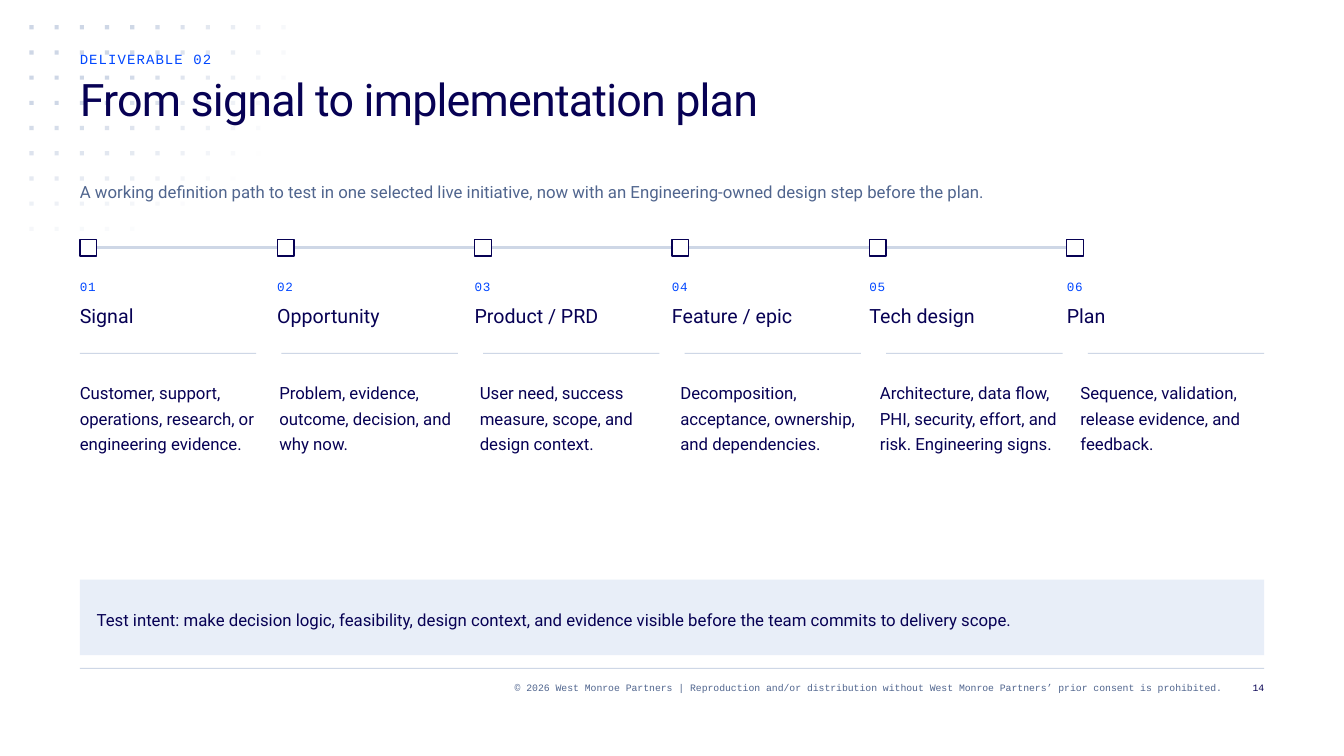
from dataclasses import dataclass
from math import hypot

from lxml.etree import SubElement
from pptx import Presentation
from pptx.dml.color import RGBColor
from pptx.enum.shapes import MSO_CONNECTOR, MSO_SHAPE
from pptx.enum.text import PP_ALIGN
from pptx.oxml.ns import qn
from pptx.util import Pt

PX = 9525  # EMU in one px


@dataclass(frozen=True)
class Font:
    face: str
    size: int
    lead: int
    color: str
    track: int = 0


class Theme:
    navy, blue, slate = "070154", "0047FF", "50658E"
    mist, pale, white = "CED7E6", "E8EEF8", "FFFFFF"
    sans, mono = "Roboto", "Courier New"
    title = Font(sans, 32, 36, navy, -60)
    tag = Font(mono, 10, 12, blue, 80)
    lead = Font(sans, 12, 18, slate)
    body = Font(sans, 12, 18, navy)
    count = Font(mono, 9, 12, blue, 50)
    step = Font(sans, 14, 21, navy)
    legal = Font(mono, 7, 9, slate)
    page = Font(mono, 7, 9, navy)


class Board:
    def __init__(self, slide, theme):
        self.slide = slide
        self.theme = theme

    def rect(self, x, y, w, h, fill, edge=None, alpha=100):
        shape = self.slide.shapes.add_shape(
            MSO_SHAPE.RECTANGLE, x * PX, y * PX, w * PX, h * PX)
        shape.shadow.inherit = False
        shape.fill.solid()
        shape.fill.fore_color.rgb = RGBColor.from_string(fill)
        if alpha < 100:
            color = shape.fill._xPr.find(".//" + qn("a:srgbClr"))
            SubElement(color, qn("a:alpha"), val=str(alpha * 1000))
        if edge:
            shape.line.color.rgb = RGBColor.from_string(edge)
            shape.line.width = Pt(1)
        else:
            shape.line.fill.background()

    def text(self, x, y, w, h, words, font, align=PP_ALIGN.LEFT):
        frame = self.slide.shapes.add_textbox(
            x * PX, y * PX, w * PX, h * PX).text_frame
        frame.margin_left = frame.margin_right = 0
        frame.margin_top = frame.margin_bottom = 0
        frame.word_wrap = True
        frame.text = words
        para = frame.paragraphs[0]
        para.alignment = align
        para.line_spacing = Pt(font.lead)
        run = para.runs[0]
        run.font.name = font.face
        run.font.size = Pt(font.size)
        run.font.color.rgb = RGBColor.from_string(font.color)
        if font.track:
            run.font._element.set("spc", str(font.track))

    def line(self, x1, y1, x2, y2, color, width):
        link = self.slide.shapes.add_connector(
            MSO_CONNECTOR.STRAIGHT, x1 * PX, y1 * PX, x2 * PX, y2 * PX)
        link.line.color.rgb = RGBColor.from_string(color)
        link.line.width = Pt(width)
        SubElement(link._element.spPr, qn("a:effectLst"))

    def dots(self, cols, rows):
        """Draw a dot grid that fades with distance from its top left."""
        for col in range(cols):
            for row in range(rows):
                alpha = min(100, int(153 - hypot(13.8 * col, 16.85 * row)))
                if alpha >= 2:
                    self.rect(28 + 24 * col, 24 + 24 * row, 4, 4,
                              self.theme.mist, alpha=alpha)


LEFT, WIDTH = 76, 1128
STEPS = [
    ("Signal", "Customer, support, operations, research, or engineering evidence."),
    ("Opportunity", "Problem, evidence, outcome, decision, and why now."),
    ("Product / PRD", "User need, success measure, scope, and design context."),
    ("Feature / epic", "Decomposition, acceptance, ownership, and dependencies."),
    ("Tech design", "Architecture, data flow, PHI, security, effort, and risk. "
                    "Engineering signs."),
    ("Plan", "Sequence, validation, release evidence, and feedback."),
]


def main():
    deck = Presentation()
    deck.slide_width, deck.slide_height = 1280 * PX, 720 * PX
    theme = Theme()
    board = Board(deck.slides.add_slide(deck.slide_layouts[6]), theme)

    board.dots(11, 9)
    board.text(LEFT, 48, 984, 24, "DELIVERABLE 02", theme.tag)
    board.text(LEFT, 72, 984, 96, "From signal to implementation plan", theme.title)
    board.text(LEFT, 168, WIDTH, 40,
               "A working definition path to test in one selected live initiative, "
               "now with an Engineering-owned design step before the plan.", theme.lead)

    pitch = WIDTH // len(STEPS)
    board.line(LEFT + 8, 236, LEFT + 8 + pitch * (len(STEPS) - 1), 236, theme.mist, 2)
    for i, (name, note) in enumerate(STEPS):
        x = LEFT + pitch * i
        board.rect(x, 228, 16, 16, theme.white, theme.navy)
        board.text(x, 264, 164, 16, f"{i + 1:02}", theme.count)
        board.text(x, 284, 164, 28, name, theme.step)
        board.rect(LEFT + 192 * i, 336, 168, 1, theme.mist)
        board.text(LEFT + 572 * i // 3, 360, 175, 168, note, theme.body)

    board.rect(LEFT, 552, WIDTH, 72, theme.pale)
    board.text(LEFT + 16, 576, WIDTH - 32, 24,
               "Test intent: make decision logic, feasibility, design context, and "
               "evidence visible before the team commits to delivery scope.", theme.body)

    board.rect(LEFT, 636, WIDTH, 1, theme.mist)
    board.text(228, 648, 936, 24,
               "© 2026 West Monroe Partners | Reproduction and/or distribution without "
               "West Monroe Partners’ prior consent is prohibited.",
               theme.legal, PP_ALIGN.RIGHT)
    board.text(1172, 648, 32, 24, "14", theme.page, PP_ALIGN.RIGHT)
    deck.save("out.pptx")


if __name__ == "__main__":
    main()
